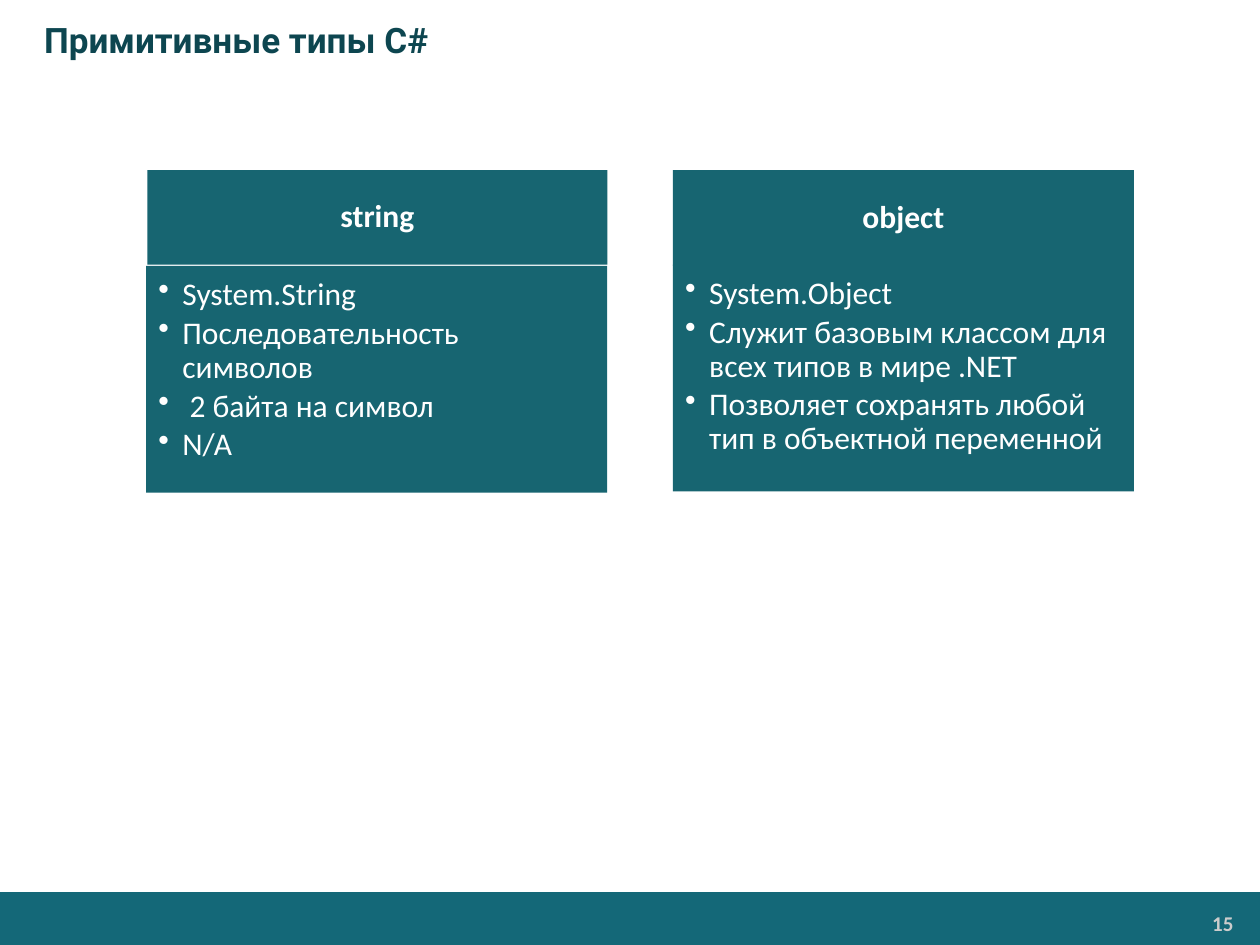
from dataclasses import dataclass

from lxml.etree import SubElement as Sub
from pptx import Presentation
from pptx.dml.color import RGBColor as Rgb
from pptx.enum.shapes import MSO_SHAPE as Kind
from pptx.enum.text import MSO_ANCHOR as Anchor, PP_ALIGN as Align
from pptx.oxml.ns import qn
from pptx.util import Inches, Pt


@dataclass(frozen=True)
class Theme:
    bar: Rgb = Rgb.from_string("146878")
    card: Rgb = Rgb.from_string("176571")
    title: Rgb = Rgb.from_string("0D4650")
    text: Rgb = Rgb.from_string("FFFFFF")
    page: Rgb = Rgb.from_string("CCCCCC")
    head_font: str = "Roboto"
    body_font: str = "Calibri"
    head_size: Pt = Pt(20)
    body_size: Pt = Pt(18)
    page_size: Pt = Pt(12)
    gap: Pt = Pt(2.7)


@dataclass(frozen=True)
class Box:
    left: float
    top: float
    width: float
    height: float

    def place(self) -> tuple:
        return tuple(Inches(n) for n in (self.left, self.top, self.width, self.height))


@dataclass(frozen=True)
class Card:
    name: str
    head: Box
    body: Box
    facts: tuple


THEME = Theme()
CARDS = (
    Card("string", Box(1.17, 1.35, 3.65, 0.75), Box(1.16, 2.11, 3.66, 1.8),
         ("System.String", "Последовательность символов", " 2 байта на символ", "N/A")),
    Card("object", Box(5.34, 1.35, 3.66, 0.76), Box(5.34, 2.1, 3.66, 1.8),
         ("System.Object", "Служит базовым классом для всех типов в мире .NET",
          "Позволяет сохранять любой тип в объектной переменной")),
)


def style(para, font: str, size: Pt, color: Rgb, bold: bool = False) -> None:
    para.font.name = font
    para.font.size = size
    para.font.bold = bold
    para.font.color.rgb = color


def inset(frame, left: float, top: float, right: float, bottom: float) -> None:
    frame.word_wrap = True
    frame.margin_left, frame.margin_top = Inches(left), Inches(top)
    frame.margin_right, frame.margin_bottom = Inches(right), Inches(bottom)


def block(slide, box: Box, fill: Rgb):
    shape = slide.shapes.add_shape(Kind.RECTANGLE, *box.place())
    shape.shadow.inherit = False
    shape.fill.solid()
    shape.fill.fore_color.rgb = fill
    shape.line.fill.background()
    return shape


def label(slide, box: Box, text: str):
    frame = slide.shapes.add_textbox(*box.place()).text_frame
    frame.word_wrap = True
    frame.text = text
    return frame


def bullet(para) -> None:
    props = para._p.get_or_add_pPr()
    props.set("marL", str(Inches(0.19)))
    props.set("indent", str(-Inches(0.19)))
    Sub(props, qn("a:buChar"), char="•")


def draw(slide, card: Card) -> None:
    head = block(slide, card.head, THEME.card).text_frame
    inset(head, 0.14, 0.08, 0.14, 0.08)
    head.vertical_anchor = Anchor.MIDDLE
    head.text = card.name
    para = head.paragraphs[0]
    para.alignment = Align.CENTER
    para.line_spacing = 0.9
    style(para, THEME.body_font, THEME.body_size, THEME.text, True)

    body = block(slide, card.body, THEME.card).text_frame
    inset(body, 0.1, 0.1, 0.14, 0.16)
    body.vertical_anchor = Anchor.TOP
    body.text = "\n".join(card.facts)
    for para in body.paragraphs:
        para.level = 1
        para.alignment = Align.LEFT
        para.line_spacing = 0.9
        para.space_after = THEME.gap
        bullet(para)
        style(para, THEME.body_font, THEME.body_size, THEME.text)


def main() -> None:
    deck = Presentation()
    deck.slide_width, deck.slide_height = Inches(10), Inches(7.5)
    slide = deck.slides.add_slide(deck.slide_layouts[6])

    block(slide, Box(0, 7.08, 10.01, 0.43), THEME.bar)
    page = label(slide, Box(8.23, 7.19, 1.63, 0.28), "15")
    inset(page, 0.07, 0.04, 0.07, 0.04)
    page.paragraphs[0].alignment = Align.RIGHT
    style(page.paragraphs[0], THEME.body_font, THEME.page_size, THEME.page, True)

    title = label(slide, Box(0, 0, 10, 0.63), "Примитивные типы C#")
    inset(title, 0.35, 0.05, 0.1, 0.05)
    title.vertical_anchor = Anchor.MIDDLE
    style(title.paragraphs[0], THEME.head_font, THEME.head_size, THEME.title, True)

    for card in CARDS:
        draw(slide, card)
    deck.save("out.pptx")


if __name__ == "__main__":
    main()
